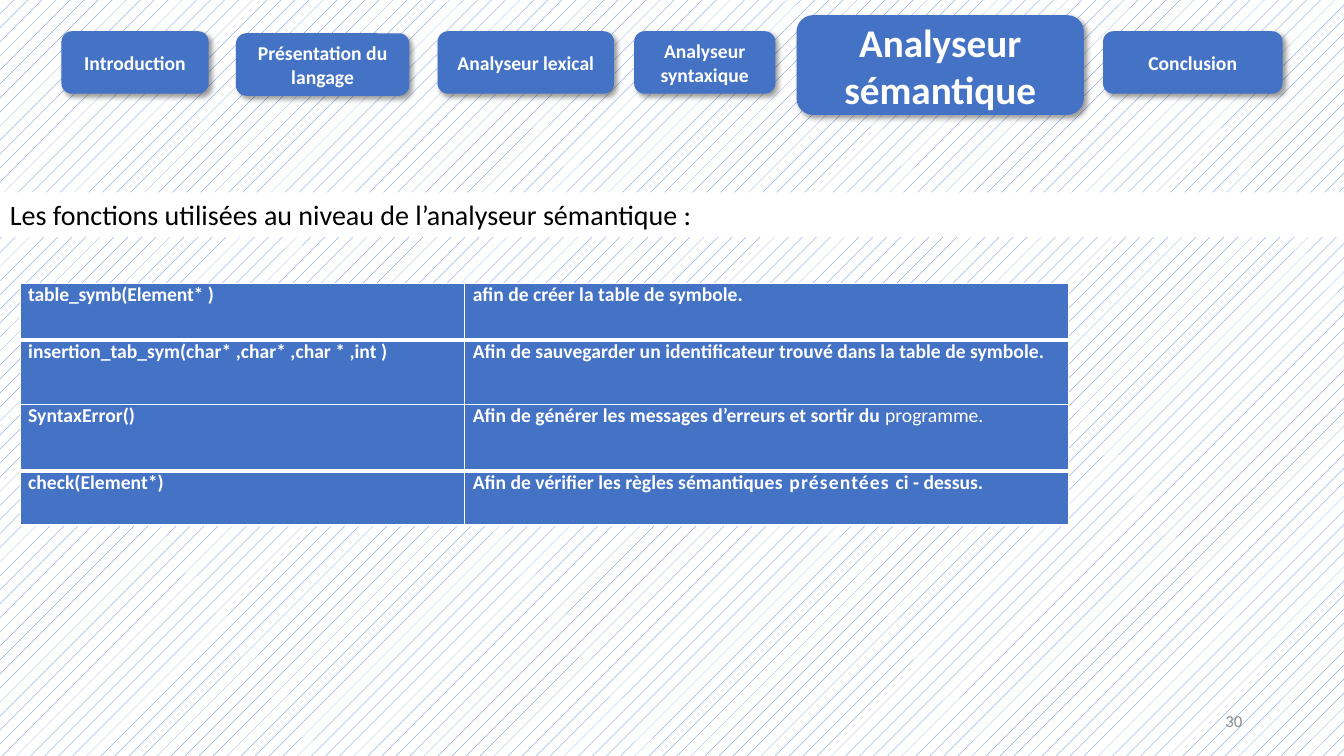
from lxml import etree
from pptx import Presentation
from pptx.dml.color import RGBColor
from pptx.enum.dml import MSO_PATTERN
from pptx.enum.shapes import MSO_SHAPE
from pptx.enum.text import MSO_ANCHOR, PP_ALIGN
from pptx.oxml.ns import qn
from pptx.util import Inches, Pt

BLUE = RGBColor(0x44, 0x72, 0xC4)
WHITE = RGBColor(0xFF, 0xFF, 0xFF)
BLACK = RGBColor(0, 0, 0)
GREY = RGBColor(0x8C, 0x8C, 0x8C)
FONT = "Calibri"
ROUNDED, RECTANGLE = MSO_SHAPE.ROUNDED_RECTANGLE, MSO_SHAPE.RECTANGLE
LEFT, CENTER, RIGHT = PP_ALIGN.LEFT, PP_ALIGN.CENTER, PP_ALIGN.RIGHT
TOP, MIDDLE = MSO_ANCHOR.TOP, MSO_ANCHOR.MIDDLE

# Section name, (left, top, width, height), text size
SECTIONS = [
    ("Introduction", (0.61, 0.31, 1.46, 0.62), 14),
    ("Présentation du langage", (2.34, 0.33, 1.72, 0.62), 14),
    ("Analyseur lexical", (4.34, 0.31, 1.75, 0.62), 14),
    ("Analyseur syntaxique", (6.29, 0.31, 1.4, 0.62), 14),
    ("Analyseur sémantique", (7.9, 0.15, 2.85, 0.99), 28),
    ("Conclusion", (10.94, 0.31, 1.78, 0.62), 14),
]
HEADING = "Les fonctions utilisées au niveau de l’analyseur sémantique :"
PAGE_NUMBER = "30"

# Each cell is a list of runs: text, bold, letter spacing in points
FUNCTIONS = [
    ([("table_symb(Element* ", True, -0.1), (")", True, 0)],
     [("afin de créer la table de symbole.", True, 0)]),
    ([("insertion_tab_sym(char* ,char* ,char * ,int )", True, 0)],
     [("Afin de sauvegarder un identificateur trouvé dans la table de symbole.", True, 0)]),
    ([("SyntaxError()", True, 0)],
     [("Afin de générer les messages d’erreurs et sortir du ", True, 0),
      ("programme.", False, 0)]),
    ([("check(Element*)", True, 0)],
     [("Afin de vérifier les règles sémantique", True, 0),
      ("s présentées ", True, 0.8), ("ci - dessus.", True, 0)]),
]
COLUMN_WIDTHS = [4.41, 5.99]
ROW_HEIGHTS = [0.56, 0.64, 0.66, 0.54]
RULE_WIDTHS = [1, 3, 1, 3, 1]  # horizontal rules, top to bottom, in points


def add_run(paragraph, text, size, color, bold=False):
    run = paragraph.add_run()
    run.text = text
    run.font.name = FONT
    run.font.size = Pt(size)
    run.font.bold = bold
    run.font.color.rgb = color
    return run


def write(shape, text, size, color, align, anchor, bold=False):
    frame = shape.text_frame
    frame.word_wrap = True
    frame.vertical_anchor = anchor
    paragraph = frame.paragraphs[0]
    paragraph.alignment = align
    add_run(paragraph, text, size, color, bold)


def add_box(slide, kind, box, fill):
    shape = slide.shapes.add_shape(kind, *map(Inches, box))
    shape.shadow.inherit = False
    shape.fill.solid()
    shape.fill.fore_color.rgb = fill
    shape.line.fill.background()
    return shape


def add_shadow(shape):
    effects = shape._element.spPr.find(qn("a:effectLst"))
    shadow = etree.SubElement(effects, qn("a:outerShdw"), blurRad=str(Pt(4)),
                              dist=str(Pt(3)), dir="2700000", algn="tl", rotWithShape="0")
    color = etree.SubElement(shadow, qn("a:srgbClr"), val=str(BLACK))
    etree.SubElement(color, qn("a:alpha"), val="40000")


def set_borders(cell, top, bottom):
    properties = cell._tc.get_or_add_tcPr()
    widths = (("a:lnL", 1), ("a:lnR", 1), ("a:lnT", top), ("a:lnB", bottom))
    for position, (tag, width) in enumerate(widths):
        line = etree.Element(qn(tag), w=str(Pt(width)))
        fill = etree.SubElement(line, qn("a:solidFill"))
        etree.SubElement(fill, qn("a:srgbClr"), val=str(WHITE))
        properties.insert(position, line)


def fill_cell(cell, runs):
    cell.fill.solid()
    cell.fill.fore_color.rgb = BLUE
    cell.margin_left = cell.margin_right = cell.margin_top = cell.margin_bottom = 0
    paragraph = cell.text_frame.paragraphs[0]
    paragraph.space_before = Pt(3.3)
    paragraph._p.get_or_add_pPr().set("marL", str(Inches(0.08)))
    for text, bold, spacing in runs:
        run = add_run(paragraph, text, 14, WHITE, bold)
        if spacing:
            run.font._element.set("spc", str(round(spacing * 100)))


def add_function_table(slide):
    table = slide.shapes.add_table(
        len(ROW_HEIGHTS), len(COLUMN_WIDTHS), Inches(0.2), Inches(2.81),
        Inches(sum(COLUMN_WIDTHS)), Inches(sum(ROW_HEIGHTS))).table
    for column, width in zip(table.columns, COLUMN_WIDTHS):
        column.width = Inches(width)
    for index, height in enumerate(ROW_HEIGHTS):
        table.rows[index].height = Inches(height)
        for cell, runs in zip(table.rows[index].cells, FUNCTIONS[index]):
            fill_cell(cell, runs)
            set_borders(cell, RULE_WIDTHS[index], RULE_WIDTHS[index + 1])


def main():
    presentation = Presentation()
    presentation.slide_width = Inches(13.33)
    presentation.slide_height = Inches(7.5)
    slide = presentation.slides.add_slide(presentation.slide_layouts[6])

    background = slide.background.fill
    background.patterned()
    background.pattern = MSO_PATTERN.PERCENT_5
    background.fore_color.rgb = BLUE
    background.back_color.rgb = WHITE

    number = slide.shapes.add_textbox(Inches(9.42), Inches(6.95), Inches(3), Inches(0.4))
    write(number, PAGE_NUMBER, 12, GREY, RIGHT, MIDDLE)

    for name, box, size in SECTIONS:
        button = add_box(slide, ROUNDED, box, BLUE)
        add_shadow(button)
        write(button, name, size, WHITE, CENTER, MIDDLE, bold=True)

    heading = add_box(slide, RECTANGLE, (0, 1.91, 13.33, 0.44), WHITE)
    write(heading, HEADING, 20, BLACK, LEFT, TOP)

    add_function_table(slide)
    presentation.save("out.pptx")


if __name__ == "__main__":
    main()
